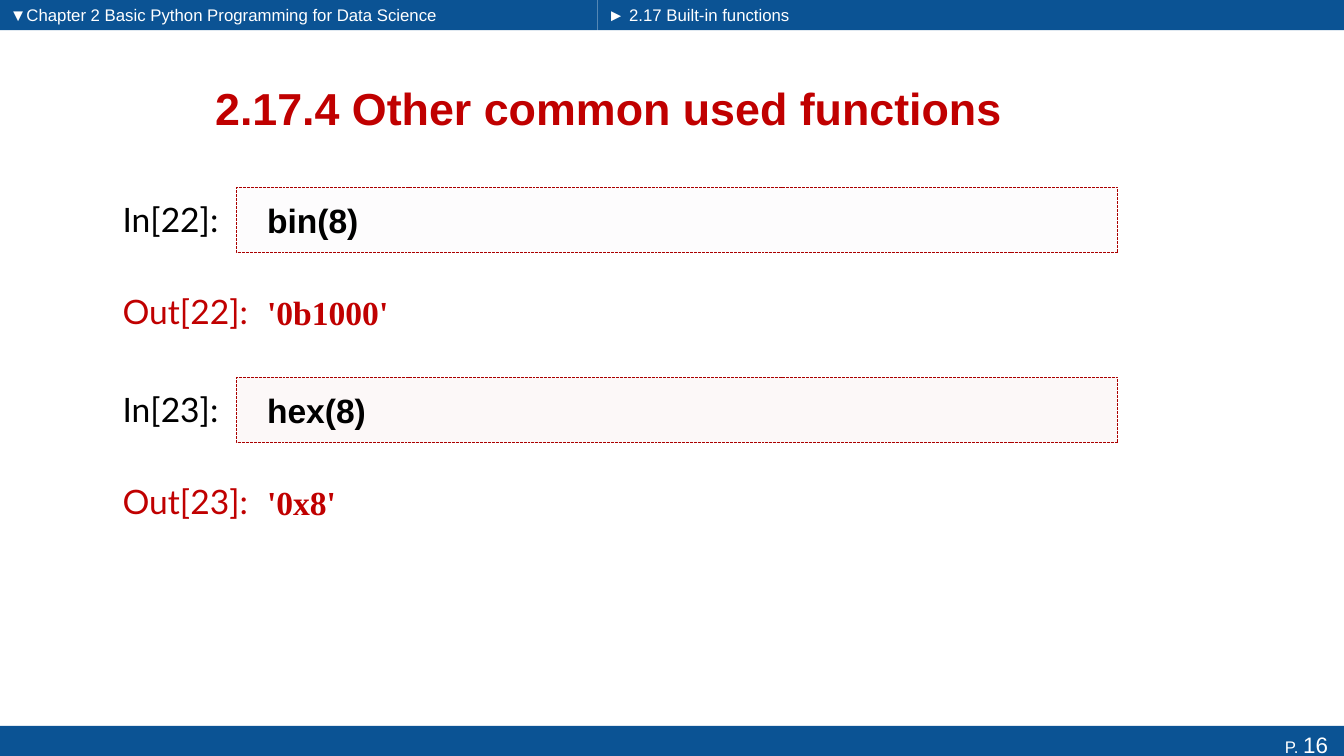
from lxml.etree import SubElement
from pptx import Presentation
from pptx.dml.color import RGBColor
from pptx.enum.dml import MSO_LINE
from pptx.enum.shapes import MSO_SHAPE
from pptx.enum.text import MSO_ANCHOR, PP_ALIGN
from pptx.oxml.ns import qn
from pptx.util import Cm, Pt

# Content
TITLE = "2.17.4 Other common used functions"
HEADERS = ["▼Chapter 2 Basic Python Programming for Data Science",
           "► 2.17 Built-in functions"]
PAGE = [("P. ", 12), ("16", 16)]

BLUE = RGBColor(0x0B, 0x53, 0x94)
WHITE = RGBColor(0xFF, 0xFF, 0xFF)
BLACK = RGBColor(0, 0, 0)
RED = RGBColor(0xC0, 0, 0)
BORDER = RGBColor(0xAB, 0, 0)
LILAC = RGBColor(0xF1, 0xEE, 0xF4)
PINK = RGBColor(0xED, 0xCD, 0xCB)

CELLS = [  # number, code, result, code fill
    (22, "bin(8)", "'0b1000'", LILAC),
    (23, "hex(8)", "'0x8'", PINK),
]

# Layout in cm
WIDTH, HEIGHT = 33.87, 19.05
BAR_H, SPLIT = 0.76, 15.07
LABEL_X, CODE_X = 2.84, 5.97
CODE_W, CODE_H = 22.2, 1.65
FIRST_Y, CELL_STEP, OUT_STEP = 4.72, 4.79, 2.32
LABEL_DROP = 0.16

prs = Presentation()
prs.slide_width, prs.slide_height = Cm(WIDTH), Cm(HEIGHT)
s = prs.slides.add_slide(prs.slide_layouts[6])


def add_bar(x, y, w, h, fill):
    sp = s.shapes.add_shape(MSO_SHAPE.RECTANGLE, Cm(x), Cm(y), Cm(w), Cm(h))
    sp.shadow.inherit = False
    sp.fill.solid()
    sp.fill.fore_color.rgb = fill
    sp.line.fill.background()
    return sp


def add_box(x, y, w, h):
    return s.shapes.add_textbox(Cm(x), Cm(y), Cm(w), Cm(h))


def write(sp, text, size, font, color, bold=False, align=PP_ALIGN.LEFT,
          anchor=MSO_ANCHOR.TOP, inset=0.25):
    tf = sp.text_frame
    tf.word_wrap = True
    tf.vertical_anchor = anchor
    tf.margin_left = Cm(inset)
    p = tf.paragraphs[0]
    p.text = text
    p.alignment = align
    p.font.size, p.font.name, p.font.bold = Pt(size), font, bold
    p.font.color.rgb = color


# Header bars and their text
for text, x, right in zip(HEADERS, (0, SPLIT), (SPLIT - 0.01, WIDTH)):
    add_bar(x, 0, right - x, BAR_H, BLUE)
    write(add_box(x, 0, right - x, BAR_H), text, 12, "Arial", WHITE)

# Footer with page number
footer = add_bar(0, 18.29, WIDTH, 0.94, BLUE)
tf = footer.text_frame
tf.vertical_anchor = MSO_ANCHOR.TOP
tf.margin_right = Cm(0.4)
p = tf.paragraphs[0]
p.alignment = PP_ALIGN.RIGHT
for text, size in PAGE:
    r = p.add_run()
    r.text = text
    r.font.size, r.font.name = Pt(size), "Arial"
    r.font.color.rgb = WHITE

# Title
write(add_box(1.73, 1.57, 27.23, 2.29), TITLE, 32, "Arial", RED, True,
      PP_ALIGN.CENTER, MSO_ANCHOR.MIDDLE)

# Input and output cells
for i, (number, code, result, fill) in enumerate(CELLS):
    in_y = FIRST_Y + i * CELL_STEP
    out_y = in_y + OUT_STEP

    code_box = add_bar(CODE_X, in_y, CODE_W, CODE_H, fill)
    color = code_box.fill._xPr.find(qn("a:solidFill"))[0]
    SubElement(color, qn("a:alpha"), val="13000")
    code_box.line.color.rgb = BORDER
    code_box.line.width = Pt(0.7)
    code_box.line.dash_style = MSO_LINE.SQUARE_DOT
    result_box = add_box(CODE_X, out_y, CODE_W, CODE_H)

    for label, y, w, sp, text, font, color in (
            ("In", in_y, 3.12, code_box, code, "Arial", BLACK),
            ("Out", out_y, 3.71, result_box, result, "Times New Roman", RED)):
        write(add_box(LABEL_X, y + LABEL_DROP, w, 1.27),
              f"{label}[{number}]:", 24, "Lato", color)
        write(sp, text, 24, font, color, True,
              anchor=MSO_ANCHOR.MIDDLE, inset=0.76)

prs.save("out.pptx")
